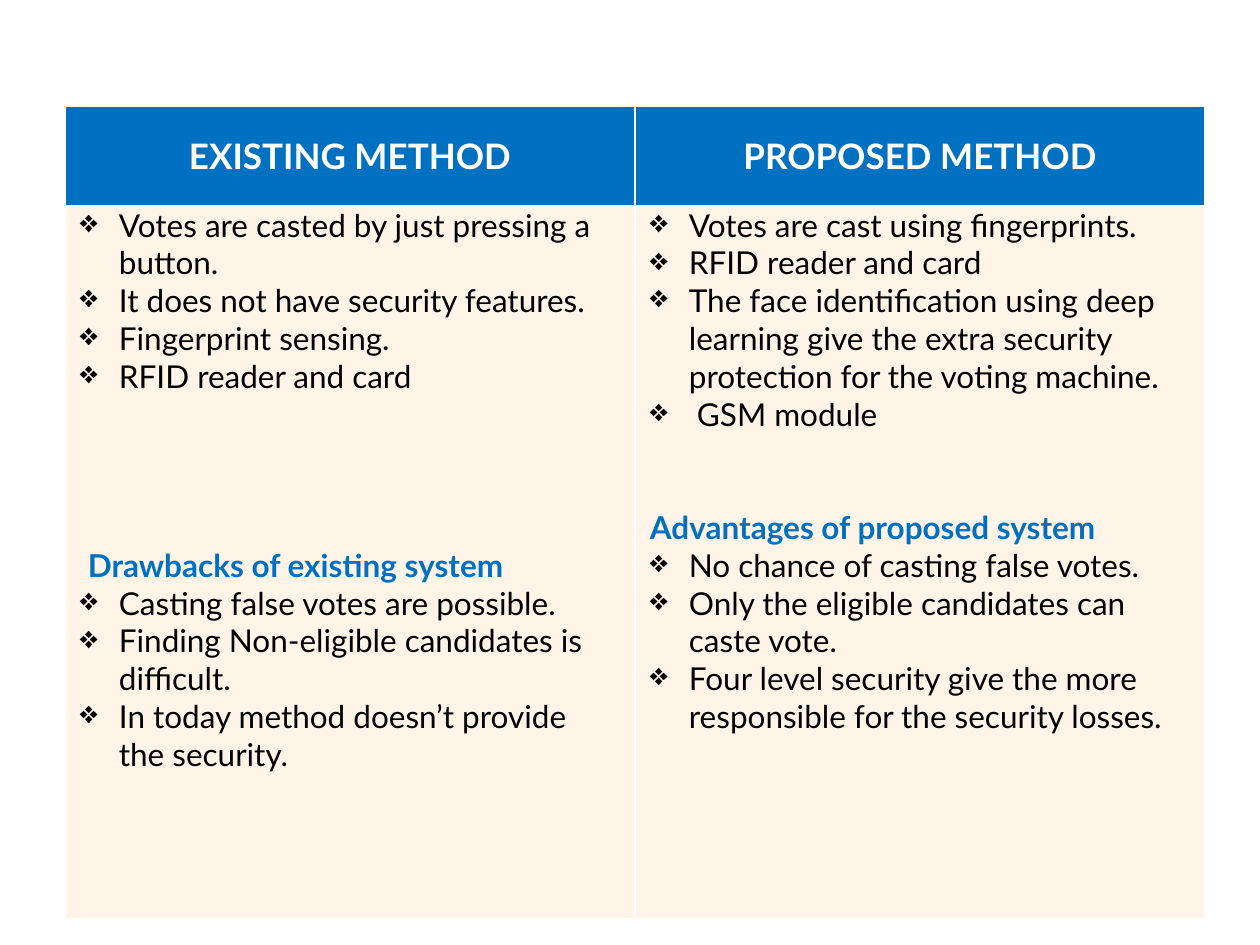
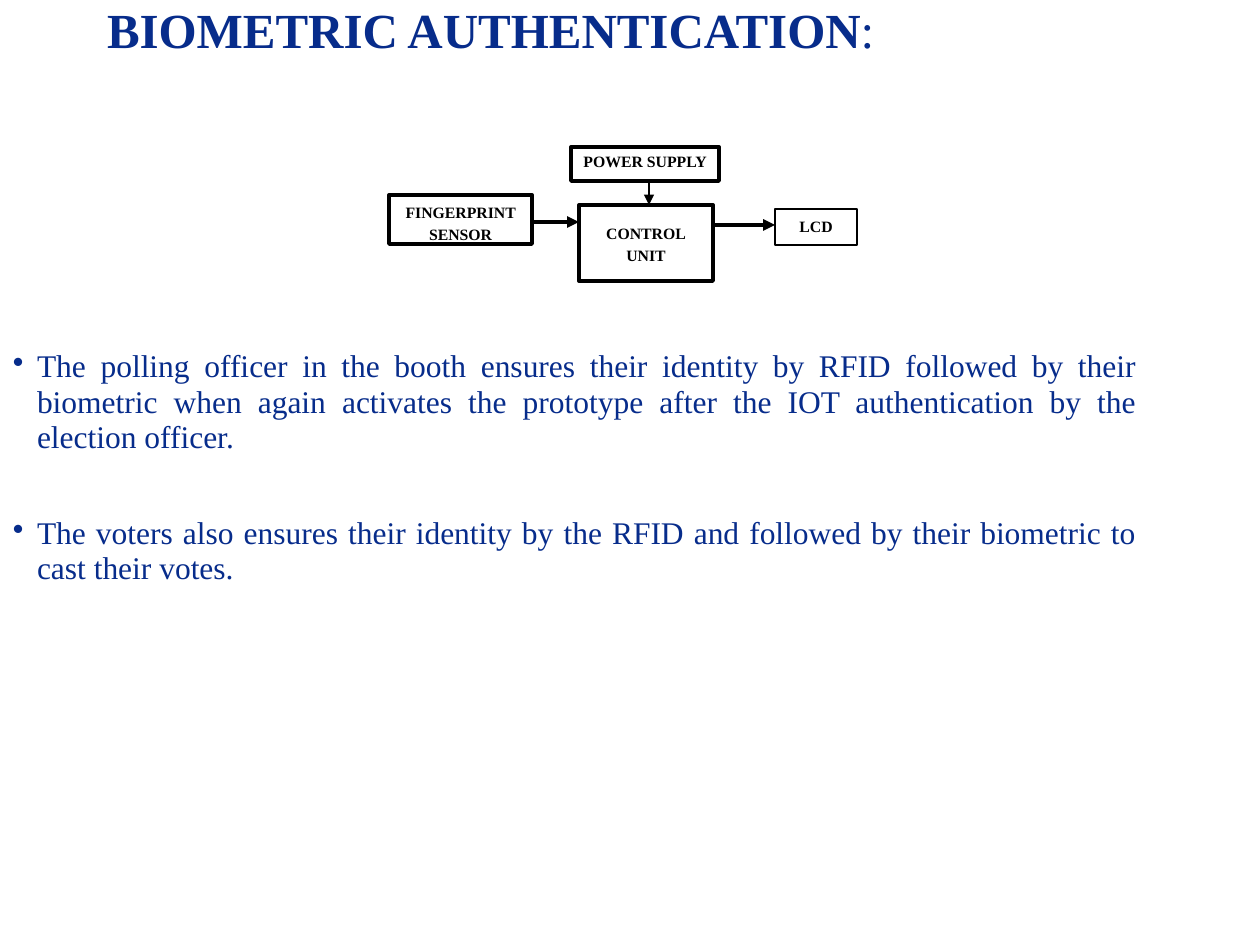
from lxml import etree
from pptx import Presentation
from pptx.dml.color import RGBColor
from pptx.enum.shapes import MSO_CONNECTOR, MSO_SHAPE
from pptx.enum.text import MSO_ANCHOR, PP_ALIGN
from pptx.oxml.ns import qn
from pptx.util import Emu, Pt

WHITE = RGBColor(0xFF, 0xFF, 0xFF)
BLACK = RGBColor(0x00, 0x00, 0x00)
BLUE = RGBColor(0x00, 0x70, 0xC0)
NAVY = RGBColor(0x07, 0x2C, 0x8B)
CREAM = RGBColor(0xFF, 0xF4, 0xE7)
LATO, TIMES = "Lato", "Times New Roman"
LEFT, MID, JUST = PP_ALIGN.LEFT, PP_ALIGN.CENTER, PP_ALIGN.JUSTIFY
TOP, CENTER = MSO_ANCHOR.TOP, MSO_ANCHOR.MIDDLE
RECT, LINE = MSO_SHAPE.RECTANGLE, MSO_CONNECTOR.STRAIGHT
SCALE = 914400 / 126
ROW = 21.6  # height of one line of table text, in points


def px(num):
    """Turn pixels into EMU."""
    return Emu(round(num * SCALE))


def inset(box, side, edge):
    """Set the side and edge margins of a cell or text frame."""
    box.margin_left = box.margin_right = px(side)
    box.margin_top = box.margin_bottom = px(edge)


def node(parent, tag, **attrs):
    """Append a drawing element to its parent."""
    return etree.SubElement(parent, qn("a:" + tag), attrs)


class Deck:
    """Holds the style and the current slide."""

    def __init__(self):
        """Start an empty deck."""
        self.prs = Presentation()
        self.prs.slide_width, self.prs.slide_height = px(1260), px(945)
        self.slide = None

    def page(self):
        """Add a blank slide on white."""
        self.slide = self.prs.slides.add_slide(self.prs.slide_layouts[6])
        fill = self.slide.background.fill
        fill.solid()
        fill.fore_color.rgb = WHITE

    def para(self, frame, text, size, color, face, bold=False, align=LEFT,
             gap=0, lead=None, mark=None, left=0, hang=0):
        """Write a paragraph, using the empty first one if there is one."""
        par = frame.paragraphs[0]
        if par.runs:
            par = frame.add_paragraph()
        par.alignment, par.space_before = align, Pt(gap)
        if lead:
            par.line_spacing = lead
        props = par._p.get_or_add_pPr()
        props.set("marL", str(px(left)))
        props.set("indent", str(-px(hang)))
        if mark:
            node(props, "buChar", char=mark)
        else:
            node(props, "buNone")
        font = par.font
        font.size, font.name, font.bold = Pt(size), face, bold
        font.color.rgb = color
        par.add_run().text = text
        return par

    def cell(self, cell, fill, side, edge, anchor):
        """Set the fill, margins and white borders of a table cell."""
        cell.fill.solid()
        cell.fill.fore_color.rgb = fill
        cell.vertical_anchor = anchor
        inset(cell, side, edge)
        props = cell._tc.get_or_add_tcPr()
        for place, name in enumerate(("lnL", "lnR", "lnT", "lnB")):
            edge_line = node(props, name, w=str(Pt(1)))
            node(node(edge_line, "solidFill"), "srgbClr", val=str(WHITE))
            props.insert(place, edge_line)

    def table(self, x, y, wide, rows, sides):
        """Draw a column for each (head, points, gap, left, topic, notes)."""
        grid = self.slide.shapes.add_table(
            2, len(sides), px(x), px(y), px(wide), px(sum(rows))).table
        for row, high in zip(grid.rows, rows):
            row.height = px(high)
        for col, (head, points, gap, left, topic, notes) in enumerate(sides):
            grid.columns[col].width = px(wide / len(sides))
            top, body = grid.cell(0, col), grid.cell(1, col)
            self.cell(top, BLUE, 5, 5, CENTER)
            self.para(top.text_frame, head, 20, WHITE, LATO, True, MID)
            self.cell(body, CREAM, 15, 0, TOP)
            self.items(body.text_frame, points)
            self.para(body.text_frame, topic, 18, BLUE, LATO, True,
                      gap=gap, left=left)
            self.items(body.text_frame, notes)

    def items(self, frame, texts):
        """Write the diamond list of a table cell."""
        for text in texts:
            self.para(frame, text, 18, BLACK, LATO,
                      mark="\u2756", left=39, hang=39)

    def body(self, title, points):
        """Write the title and its bullets; points are (text, gap)."""
        box = self.slide.shapes.add_textbox(0, 0, px(1150), px(945))
        frame = box.text_frame
        frame.word_wrap = True
        inset(frame, 13, 6)
        par = self.para(frame, title, 28, NAVY, TIMES, True,
                        gap=3.8, lead=0.9, left=94)
        colon = par.add_run()
        colon.text, colon.font.bold = ":", False
        for text, gap in points:
            self.para(frame, text, 18, NAVY, TIMES, align=JUST, gap=gap,
                      lead=0.94, mark="\u2022", left=24, hang=24)

    def block(self, x, y, wide, high, lines, weight=2.25,
              anchor=TOP, lead=1.15):
        """Draw an outlined box of the diagram."""
        box = self.slide.shapes.add_shape(RECT, px(x), px(y), px(wide), px(high))
        box.shadow.inherit = False
        box.fill.solid()
        box.fill.fore_color.rgb = WHITE
        box.line.color.rgb, box.line.width = BLACK, Pt(weight)
        frame = box.text_frame
        frame.word_wrap, frame.vertical_anchor = True, anchor
        inset(frame, 9, 5)
        for text in lines:
            self.para(frame, text, 9, BLACK, TIMES, True, MID, lead=lead)

    def arrow(self, x1, y1, x2, y2, weight=2.25):
        """Draw an arrow from the first point to the second."""
        line = self.slide.shapes.add_connector(
            LINE, px(x1), px(y1), px(x2), px(y2))
        line.line.color.rgb, line.line.width = BLACK, Pt(weight)
        node(line.line._get_or_add_ln(), "tailEnd", type="triangle")
        node(line._element.spPr, "effectLst")


def compare(deck):
    """Build the slide on the existing and proposed methods."""
    deck.page()
    deck.table(65, 106, 1140, (100, 713), (
        ("EXISTING METHOD",
         ("Votes are casted by just pressing a button.",
          "It does not have security features.",
          "Fingerprint sensing.",
          "RFID reader and card"),
         4 * ROW, 8, "Drawbacks of existing system",
         ("Casting false votes are possible.",
          "Finding Non-eligible candidates is difficult.",
          "In today method doesn\u2019t provide the security.")),
        ("PROPOSED METHOD",
         ("Votes are cast using fingerprints.",
          "RFID reader and card",
          "The face identification using deep learning give the extra "
          "security protection for the voting machine.",
          " GSM module"),
         2 * ROW, 0, "Advantages of proposed system",
         ("No chance of casting false votes.",
          "Only the eligible candidates can caste vote.",
          "Four level security give the more responsible for the "
          "security losses."))))


def biometric(deck):
    """Build the slide on biometric authentication."""
    deck.page()
    deck.body("BIOMETRIC AUTHENTICATION", (
        ("The polling officer in the booth ensures their identity by RFID "
         "followed by their biometric when again activates the prototype "
         "after the IOT authentication by the election officer.", 166),
        ("The voters also ensures their identity by the RFID and followed "
         "by their biometric to cast their votes.", 34.3)))
    deck.block(579, 205, 134, 76, ("CONTROL", "UNIT"), anchor=CENTER)
    deck.block(571, 147, 148, 34, ("POWER SUPPLY",), lead=1)
    deck.block(775, 209, 82, 36, ("LCD",), weight=1.5)
    deck.block(389, 195, 143, 49, ("FINGERPRINT SENSOR",))
    deck.arrow(649, 181, 649, 205, weight=1.5)
    deck.arrow(713, 225, 775, 225)
    deck.arrow(532, 222, 579, 222)


deck = Deck()
compare(deck)
biometric(deck)
deck.prs.save("out.pptx")
